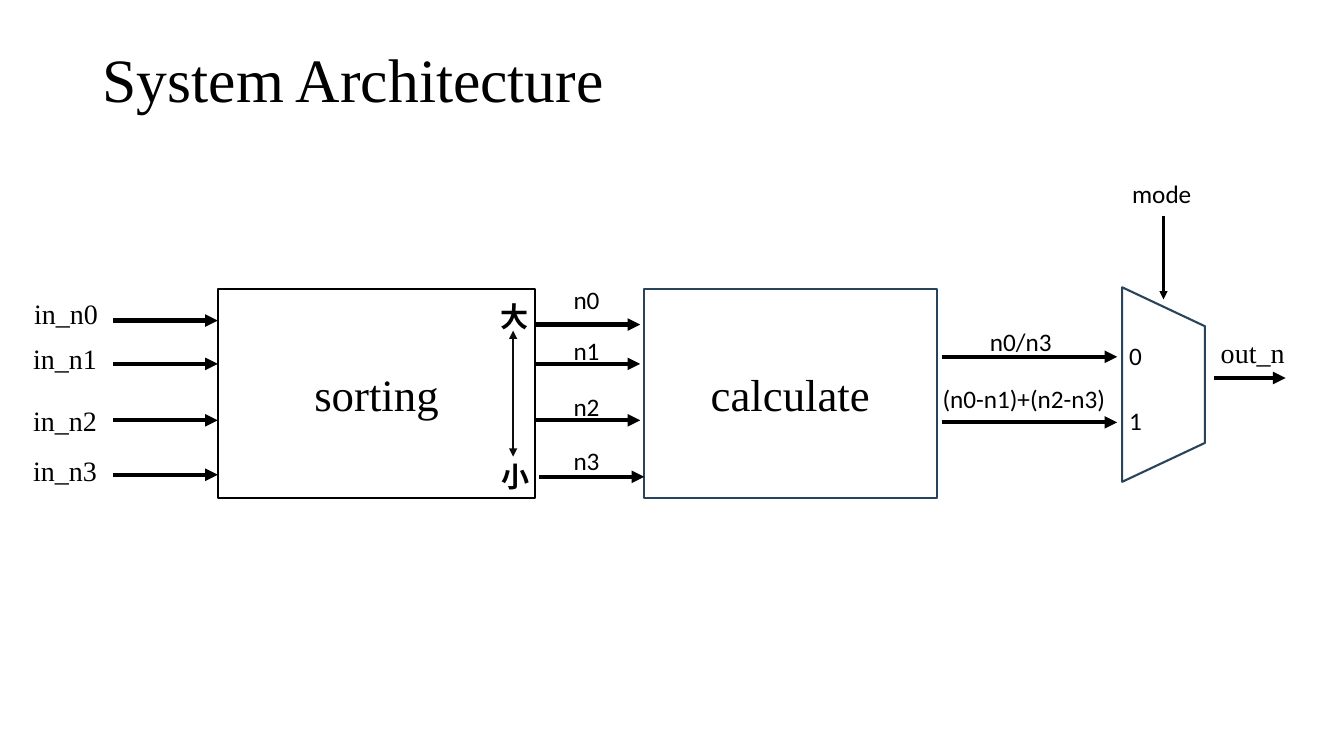
import pptx
import pptx.util
import pptx.oxml
import pptx.oxml.ns
import pptx.dml.color
import pptx.enum.shapes
import pptx.enum.text

Inches = pptx.util.Inches
Pt = pptx.util.Pt
Shape = pptx.enum.shapes.MSO_SHAPE
Anchor = pptx.enum.text.MSO_ANCHOR
Align = pptx.enum.text.PP_ALIGN
Fit = pptx.enum.text.MSO_AUTO_SIZE

COLORS = {"ink": "000000", "soft": "0D0D0D", "edge": "28445D", "paper": "FFFFFF"}
FONTS = {
    "title": {"name": "Times New Roman", "size": Pt(44)},
    "block": {"name": "Times New Roman", "size": Pt(32)},
    "port": {"name": "Times New Roman", "size": Pt(20)},
    "wire": {"name": "Calibri", "size": Pt(18)},
    "rank": {"name": "Noto Sans CJK SC", "size": Pt(20), "bold": True},
}


def color(key):
    return pptx.dml.color.RGBColor.from_string(COLORS[key])


def apply(item, values):
    for name, value in values.items():
        setattr(item, name, value)


def write(frame, text, style, align=Align.LEFT):
    para = frame.paragraphs[0]
    para.alignment = align
    run = para.add_run()
    run.text = text
    apply(run.font, FONTS[style])
    run.font.color.rgb = color("ink")
    if style == "rank":
        face = pptx.oxml.ns.qn("a:ea")
        run.font._element.makeelement(face)
        pptx.oxml.ns.qn("a:rPr")
        mark = run.font._element.makeelement(face, {"typeface": FONTS[style]["name"]})
        run.font._element.append(mark)
    return para


def label(slide, text, box, style="wire", wrap=True, align=Align.LEFT):
    area = slide.shapes.add_textbox(*map(Inches, box))
    apply(area.text_frame, {"word_wrap": wrap, "auto_size": Fit.SHAPE_TO_FIT_TEXT})
    write(area.text_frame, text, style, align)


def arrow(slide, start, end, width=3, ink="ink", both=False):
    line = slide.shapes.add_connector(
        pptx.enum.shapes.MSO_CONNECTOR.STRAIGHT, *map(Inches, start + end))
    line.line.width = Pt(width)
    line.line.color.rgb = color(ink)
    edge = line.line._get_or_add_ln()
    for tag in ("headEnd", "tailEnd") if both else ("tailEnd",):
        tip = edge.makeelement(pptx.oxml.ns.qn("a:" + tag), {"type": "triangle"})
        edge.append(tip)
    props = line._element.spPr
    props.append(props.makeelement(pptx.oxml.ns.qn("a:effectLst")))


def panel(slide, kind, box, edge):
    shape = slide.shapes.add_shape(kind, *map(Inches, box))
    shape.shadow.inherit = False
    shape.fill.solid()
    shape.fill.fore_color.rgb = color("paper")
    shape.line.color.rgb = color(edge)
    shape.line.width = Pt(1.5)
    return shape


def block(slide, text, box, edge):
    shape = panel(slide, Shape.RECTANGLE, box, edge)
    shape.text_frame.vertical_anchor = Anchor.MIDDLE
    write(shape.text_frame, text, "block", Align.CENTER)


def title(slide, box):
    area = slide.shapes.add_textbox(*map(Inches, box))
    apply(area.text_frame, {
        "word_wrap": True, "vertical_anchor": Anchor.TOP, "margin_top": Inches(0.09)})
    write(area.text_frame, "System Architecture", "title").line_spacing = 0.9


def inputs(slide, box):
    left, top, width, _ = box
    lanes = ((0.01, 0.02, 0.31), (0, 0.47, 0.74), (0, 1.08, 1.3), (0, 1.58, 1.84))
    for i, (shift, name, wire) in enumerate(lanes):
        arrow(slide, (left + 0.89, top + wire), (left + width, top + wire))
        label(slide, f"in_n{i}", (left + shift, top + name, 0.91, 0.44), "port")


def sorting(slide, box):
    left, top, width, _ = box
    block(slide, "sorting", box, "ink")
    axis = left + width - 0.22
    arrow(slide, (axis, top + 0.41), (axis, top + 1.66), 1.5, "soft", True)
    label(slide, "大", (axis - 0.22, top + 0.05, 0.48, 0.44), "rank", False)
    label(slide, "小", (axis - 0.21, top + 1.64, 0.48, 0.44), "rank", False)


def ranks(slide, box):
    left, top, width, _ = box
    lanes = ((0, -0.1, 0.35), (0, 0.41, 0.74), (0, 0.96, 1.3), (0.04, 1.5, 1.86))
    for i, (shift, name, wire) in enumerate(lanes):
        start = left + shift
        arrow(slide, (start, top + wire), (start + width, top + wire))
        label(slide, f"n{i}", (left + 0.28, top + name, 0.46, 0.4), wrap=False)


def results(slide, box):
    left, top, width, _ = box
    lanes = (("n0/n3", 0.38, 0, 0.82, 0.35), ("(n0-n1)+(n2-n3)", -0.09, 0.56, 1.84, 1))
    for text, shift, name, wide, wire in lanes:
        label(slide, text, (left + shift, top + name, wide, 0.4), wrap=False)
        arrow(slide, (left, top + wire), (left + width, top + wire))


def mux(slide, box):
    left, top, width, height = box
    turn = (width - height) / 2
    shape = panel(slide, Shape.FLOWCHART_MANUAL_OPERATION,
                  (left + turn, top - turn, height, width), "edge")
    shape.rotation = 270
    axis = left + width / 2
    arrow(slide, (axis, top - 0.71), (axis, top + 0.12), 1.5)
    label(slide, "mode", (axis - 0.41, top - 1.13, 0.82, 0.4))
    for i in range(2):
        label(slide, str(i), (left - 0.03, top + 0.48 + 0.64 * i, 0.29, 0.4))
    out = left + width + 0.09
    arrow(slide, (out, top + 0.9), (out + 0.71, top + 0.9))
    label(slide, "out_n", (out - 0.08, top + 0.43, 0.93, 0.44), "port", align=Align.CENTER)


def main():
    deck = pptx.Presentation()
    apply(deck, {"slide_width": Inches(13.33), "slide_height": Inches(7.5)})
    slide = deck.slides.add_slide(deck.slide_layouts[6])
    title(slide, (0.92, 0.4, 11.5, 1.46))
    top, height = 2.87, 2.07
    inputs(slide, (0.23, top, 1.93, height))
    sorting(slide, (2.16, top, 3.15, height))
    block(slide, "calculate", (6.39, top, 2.9, height), "edge")
    ranks(slide, (5.31, top, 1.04, height))
    results(slide, (9.34, 3.19, 1.74, 1))
    mux(slide, (11.13, 2.85, 0.82, 1.93))
    deck.save("out.pptx")


if __name__ == "__main__":
    main()
